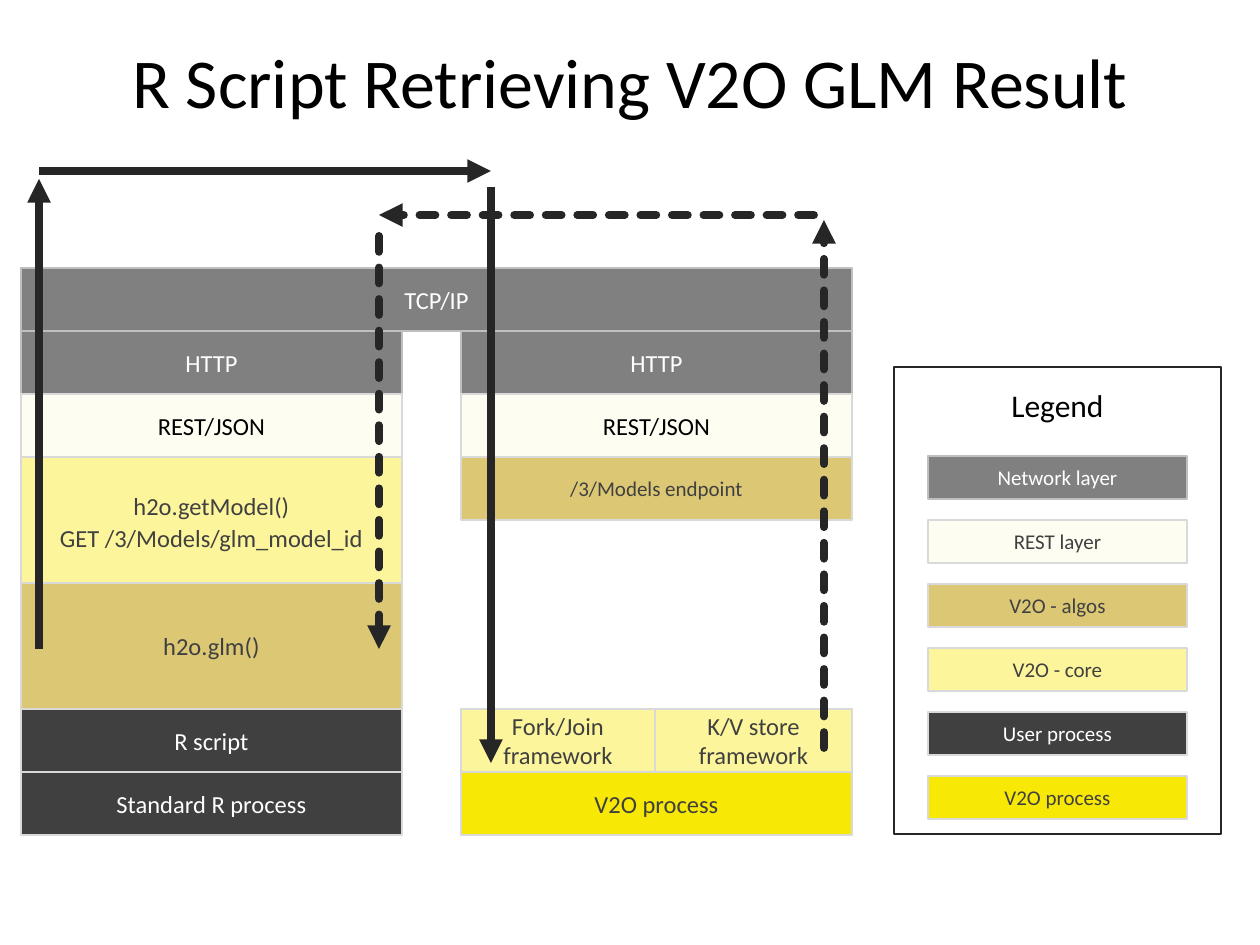
"""Build a slide showing how an R script retrieves a GLM result over REST."""
import pptx
import pptx.dml.color
import pptx.enum.dml
import pptx.enum.shapes
import pptx.enum.text
import pptx.oxml.ns
import pptx.util
from lxml import etree

Pt = pptx.util.Pt
qn = pptx.oxml.ns.qn
MID = pptx.enum.text.MSO_ANCHOR.MIDDLE
CENTER = pptx.enum.text.PP_ALIGN.CENTER

ROW = 63
TOP = 268
LEFT, RIGHT = 21, 461
LWIDE, RWIDE = 381, 391

STYLES = {
    "net": ("808080", 100, "BFBFBF", "FFFFFF"),
    "rest": ("F8E805", 5, "D9D9D9", "404040"),
    "algo": ("BF9900", 54, "D9D9D9", "404040"),
    "core": ("F8E805", 40, "D9D9D9", "404040"),
    "user": ("404040", 100, "D9D9D9", "FFFFFF"),
    "proc": ("F8E805", 100, "D9D9D9", "404040"),
}

BLOCKS = [
    ("net", "TCP/IP", LEFT, 0, 831, 1, 14),
    ("net", "HTTP", LEFT, 1, LWIDE, 1, 14),
    ("rest", "REST/JSON", LEFT, 2, LWIDE, 1, 14),
    ("core", "h2o.getModel()\nGET /3/Models/glm_model_id", LEFT, 3, LWIDE, 2, 14),
    ("algo", "h2o.glm()", LEFT, 5, LWIDE, 2, 14),
    ("user", "R script", LEFT, 7, LWIDE, 1, 14),
    ("user", "Standard R process", LEFT, 8, LWIDE, 1, 14),
    ("net", "HTTP", RIGHT, 1, RWIDE, 1, 14),
    ("rest", "REST/JSON", RIGHT, 2, RWIDE, 1, 14),
    ("algo", "/3/Models endpoint", RIGHT, 3, RWIDE, 1, 12),
    ("core", "Fork/Join framework", RIGHT, 7, 194, 1, 14),
    ("core", "K/V store framework", RIGHT + 194, 7, 197, 1, 14),
    ("proc", "V2O process", RIGHT, 8, RWIDE, 1, 14),
]

ARROWS = [
    (39, 649, 39, 179, False),
    (39, 171, 491, 171, False),
    (491, 187, 491, 763, False),
    (824, 748, 824, 220, True),
    (814, 215, 379, 215, True),
    (379, 236, 379, 649, True),
]

KEYS = [
    ("net", "Network layer"),
    ("rest", "REST layer"),
    ("algo", "V2O - algos"),
    ("core", "V2O - core"),
    ("user", "User process"),
    ("proc", "V2O process"),
]


def px(*nums):
    """Turn pixel lengths into EMU."""
    return [pptx.util.Emu(round(num * 914400 / 126)) for num in nums]


def paint(part, color):
    """Give a fill, line fill or font a hex colour."""
    if hasattr(part, "solid"):
        part.solid()
        part = part.fore_color
    else:
        part = part.color
    part.rgb = pptx.dml.color.RGBColor.from_string(color)


def write(frame, text, size, color, anchor=MID):
    """Fill a text frame with centred text."""
    frame.word_wrap = True
    frame.vertical_anchor = anchor
    frame.margin_left = frame.margin_right = 0
    frame.margin_top = frame.margin_bottom = 0
    frame.text = text
    for para in frame.paragraphs:
        para.alignment = CENTER
        if len(frame.paragraphs) > 1:
            para.line_spacing = 1.1
        for run in para.runs:
            run.font.size = Pt(size)
            run.font.name = "Calibri"
            paint(run.font, color)


def rect(slide, edge, *place):
    """Add an unfilled rectangle with a thin outline."""
    shape = slide.shapes.add_shape(
        pptx.enum.shapes.MSO_SHAPE.RECTANGLE, *px(*place))
    shape.shadow.inherit = False
    shape.fill.background()
    paint(shape.line.fill, edge)
    shape.line.width = Pt(0.75)
    return shape


def block(slide, kind, text, size, *place):
    """Add a labelled layer in the style of its kind."""
    fill, alpha, edge, ink = STYLES[kind]
    shape = rect(slide, edge, *place)
    paint(shape.fill, fill)
    if alpha < 100:
        tone = shape.element.spPr.find(qn("a:solidFill"))[0]
        etree.SubElement(tone, qn("a:alpha"), val=str(alpha * 1000))
    if text == "REST/JSON":
        ink = "000000"
    write(shape.text_frame, text, size, ink)


def arrow(slide, left, top, right, low, dashed):
    """Add a thick arrow, dashed for the response."""
    line = slide.shapes.add_connector(
        pptx.enum.shapes.MSO_CONNECTOR.STRAIGHT, *px(left, top, right, low))
    paint(line.line.fill, "262626")
    line.line.width = Pt(4.5)
    props = line.element.spPr
    edge = props.find(qn("a:ln"))
    if dashed:
        line.line.dash_style = pptx.enum.dml.MSO_LINE.SQUARE_DOT
        edge.set("cap", "rnd")
    etree.SubElement(edge, qn("a:tailEnd"), type="triangle")
    etree.SubElement(props, qn("a:effectLst"))


def title(slide, text):
    """Place and format the slide title."""
    shape = slide.shapes.title
    shape.left, shape.top, shape.width, shape.height = px(63, 18, 1134, 105)
    write(shape.text_frame, text, 40, "000000", pptx.enum.text.MSO_ANCHOR.BOTTOM)
    shape.text_frame.paragraphs[0].line_spacing = Pt(53)


def legend(slide):
    """Add the framed legend."""
    rect(slide, "262626", 894, 367, 327, 467)
    head = slide.shapes.add_textbox(*px(894, 386, 327, 37))
    write(head.text_frame, "Legend", 18, "000000")
    for num, (kind, text) in enumerate(KEYS):
        block(slide, kind, text, 12, 928, 456 + 64 * num, 259, 43)


def main():
    """Build and save the slide."""
    deck = pptx.Presentation()
    deck.slide_width, deck.slide_height = px(1260, 945)
    slide = deck.slides.add_slide(deck.slide_layouts[5])
    title(slide, "R Script Retrieving V2O GLM Result")
    for kind, text, left, row, wide, rows, size in BLOCKS:
        block(slide, kind, text, size, left, TOP + ROW * row, wide, ROW * rows)
    for ends in ARROWS:
        arrow(slide, *ends)
    legend(slide)
    deck.save("out.pptx")


if __name__ == "__main__":
    main()
